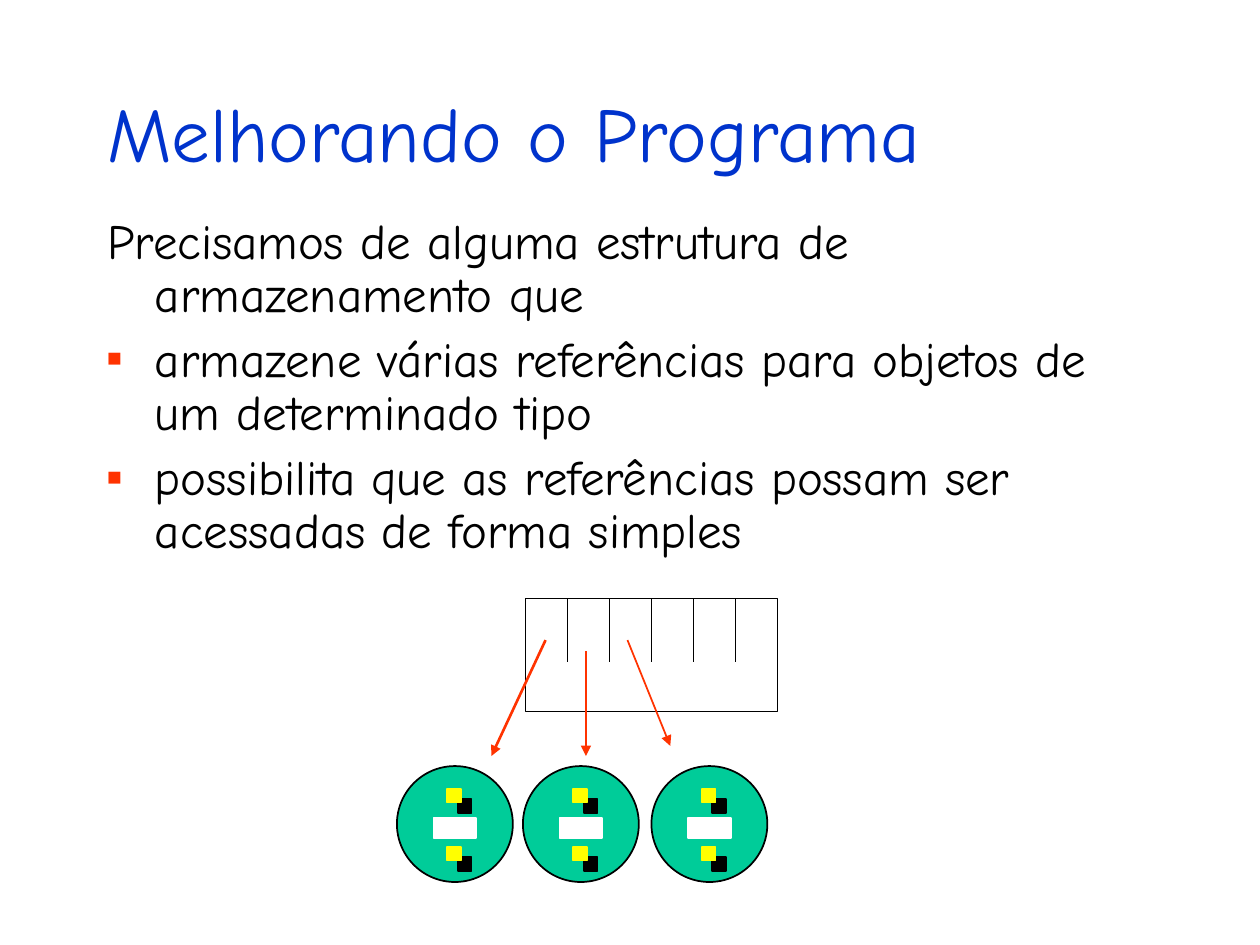
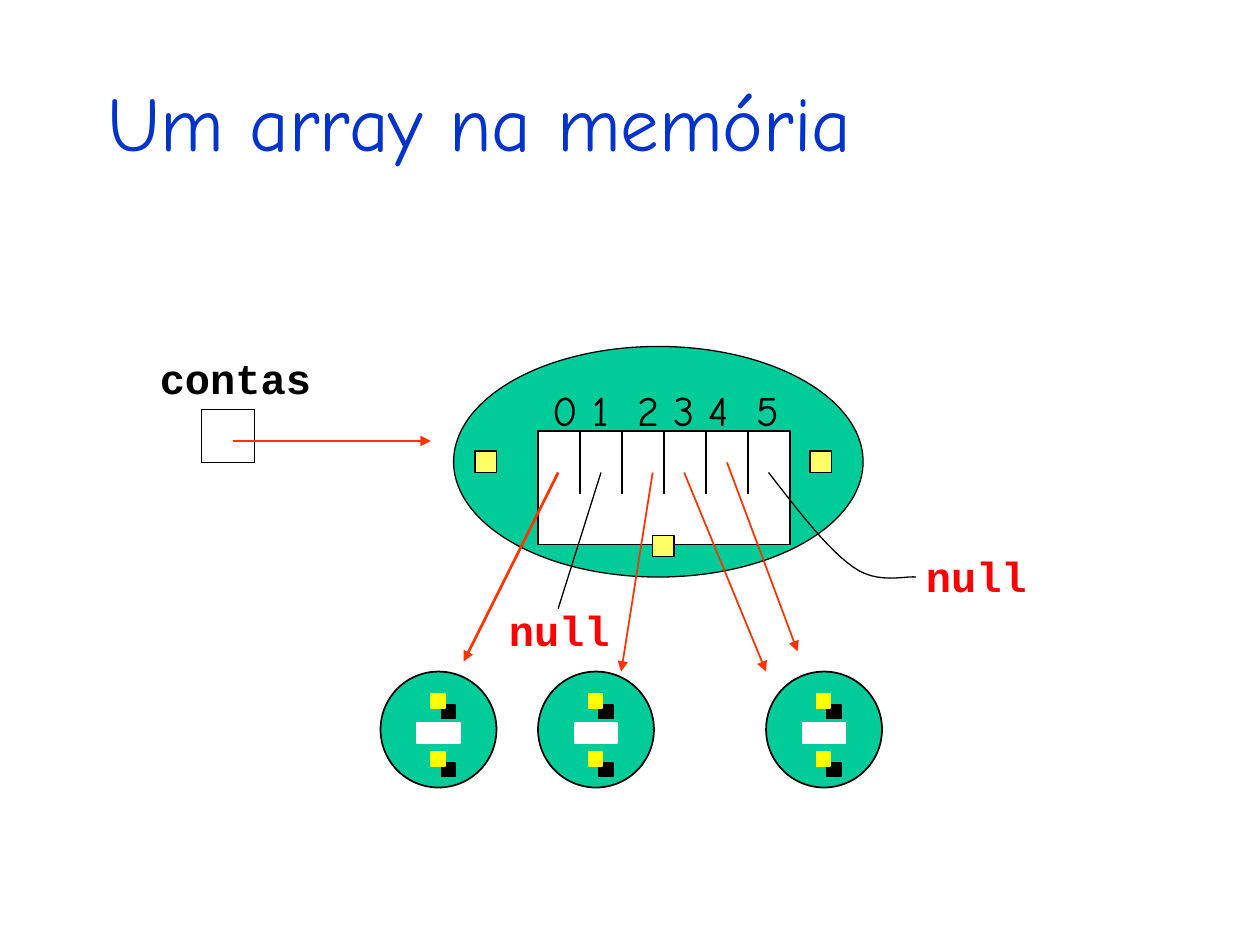
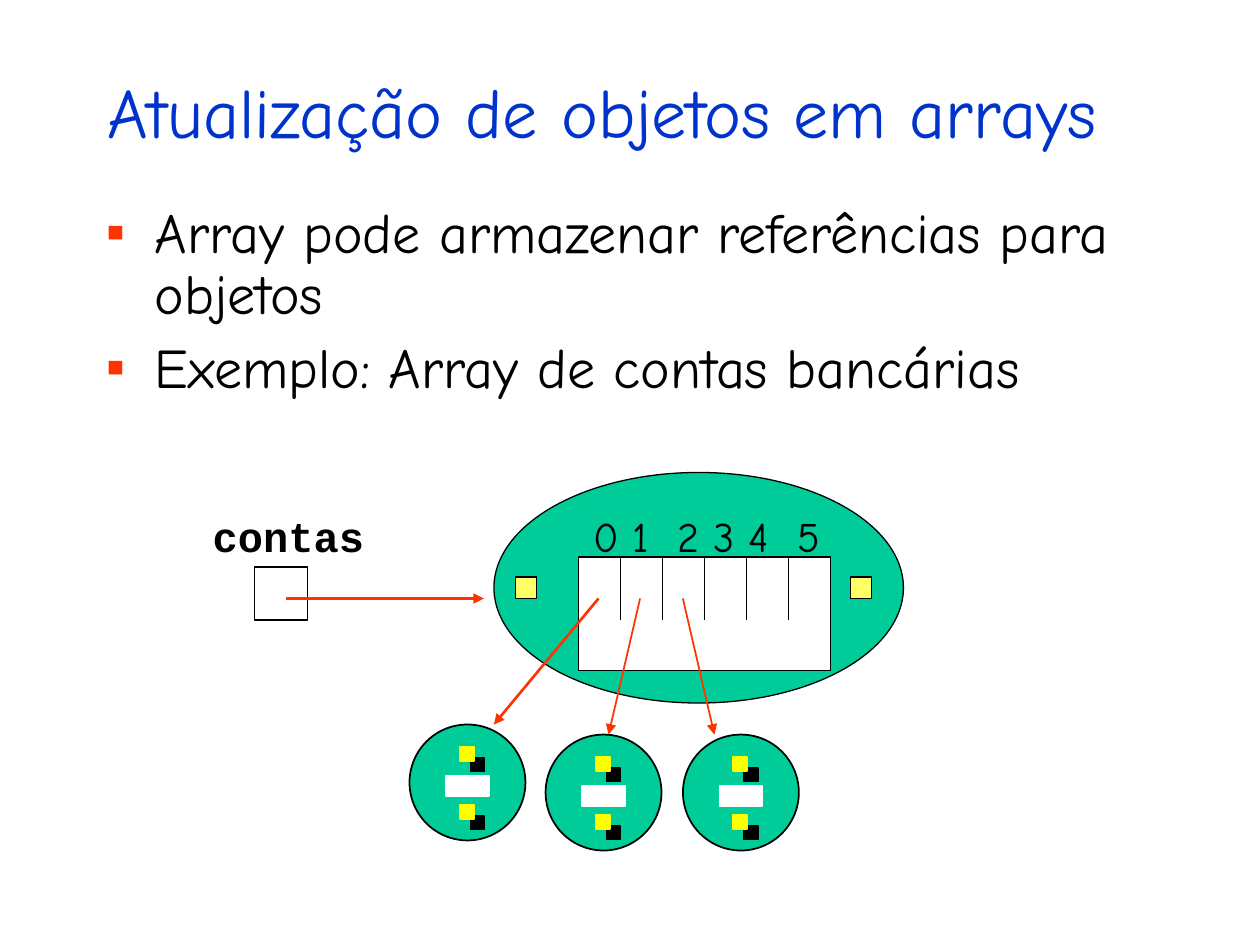
from lxml.etree import SubElement as Sub
from pptx import Presentation
from pptx.dml.color import RGBColor
from pptx.enum.shapes import MSO_CONNECTOR as LINK, MSO_SHAPE as FORM
from pptx.enum.text import MSO_ANCHOR, MSO_AUTO_SIZE as FIT, PP_ALIGN
from pptx.oxml.ns import qn
from pptx.util import Inches, Pt

BLUE = RGBColor(0x00, 0x33, 0xCC)
GREEN = RGBColor(0x00, 0xCC, 0x99)
ORANGE = RGBColor(0xFF, 0x33, 0x00)
RED = RGBColor(0xFF, 0x00, 0x00)
YELLOW = RGBColor(0xFF, 0xFF, 0x00)
PALE = RGBColor(0xFF, 0xFF, 0x66)
BLACK = RGBColor(0x00, 0x00, 0x00)
WHITE = RGBColor(0xFF, 0xFF, 0xFF)
COMIC, MONO = "Comic Neue", "Courier New"

TITLE_ONLY, TITLE_BODY = 5, 1
THIN, MID, THICK = 0.75, 1, 1.5
CELLS, PITCH = 6, 1 / 3


def place(shape, x, y, w, h):
    shape.left, shape.top = Inches(x), Inches(y)
    shape.width, shape.height = Inches(w), Inches(h)


def write(para, text, size, color, face=COMIC, bold=False):
    run = para.add_run()
    run.text = text
    font = run.font
    font.name, font.size, font.bold = face, Pt(size), bold
    font.color.rgb = color
    return run


def new_slide(deck, layout, title, top, size=44):
    slide = deck.slides.add_slide(deck.slide_layouts[layout])
    head = slide.shapes.title
    place(head, 0.75, top, 8.5, 1.25)
    frame = head.text_frame
    frame.auto_size = FIT.NONE
    frame.vertical_anchor = MSO_ANCHOR.MIDDLE
    frame.paragraphs[0].alignment = PP_ALIGN.LEFT
    write(frame.paragraphs[0], title, size, BLUE)
    return slide


def set_bullet(para, shown):
    props = para._p.get_or_add_pPr()
    props.set("marL", str(Inches(0.38)))
    props.set("indent", str(-Inches(0.38)))
    if not shown:
        Sub(props, qn("a:buNone"))
        return
    Sub(Sub(props, qn("a:buClr")), qn("a:srgbClr"), val=str(ORANGE))
    Sub(props, qn("a:buSzPct"), val="50000")
    Sub(props, qn("a:buChar"), char="■")


def fill_body(slide, box, items, size):
    """Write (text, bulleted) items into the body placeholder."""
    body = slide.placeholders[1]
    place(body, *box)
    frame = body.text_frame
    frame.auto_size = FIT.NONE
    for i, (text, shown) in enumerate(items):
        para = frame.add_paragraph() if i else frame.paragraphs[0]
        set_bullet(para, shown)
        para.line_spacing = 0.9
        para.space_before = Pt(size / 4 if i else 0)
        write(para, text, size, BLACK)


def add_form(shapes, form, box, fill, line=BLACK, width=THIN):
    shape = shapes.add_shape(form, *map(Inches, box))
    shape.shadow.inherit = False
    shape.fill.solid()
    shape.fill.fore_color.rgb = fill
    shape.line.color.rgb = line
    shape.line.width = Pt(width)
    return shape


def add_line(slide, start, end, color=BLACK, width=THIN):
    line = slide.shapes.add_connector(LINK.STRAIGHT, *map(Inches, start + end))
    line.line.color.rgb = color
    line.line.width = Pt(width)
    Sub(line._element.spPr, qn("a:effectLst"))
    return line


def add_arrow(slide, start, end, width=MID):
    arrow = add_line(slide, start, end, ORANGE, width)
    Sub(arrow.line._get_or_add_ln(), qn("a:tailEnd"), type="triangle")


def add_box(slide, x, y, w):
    """Add an unwrapped text box and return its paragraph."""
    frame = slide.shapes.add_textbox(*map(Inches, (x, y, w, 0.5))).text_frame
    frame.word_wrap = False
    return frame.paragraphs[0]


def add_label(slide, x, y, w, text, color=BLACK):
    write(add_box(slide, x, y, w), text, 24, color, MONO, True)


def cast_shadow(shape):
    effects = shape._element.spPr.find(qn("a:effectLst"))
    shade = Sub(effects, qn("a:outerShdw"), dist=str(Pt(8.5)),
                dir="2700000", algn="ctr", rotWithShape="0")
    Sub(shade, qn("a:srgbClr"), val=str(BLACK))


def add_account(slide, x, y):
    shapes = slide.shapes.add_group_shape().shapes
    add_form(shapes, FORM.OVAL, (x, y, 0.92, 0.92), GREEN, BLACK, MID)
    for drop in (0.18, 0.64):
        knob = add_form(shapes, FORM.RECTANGLE, (x + 0.4, y + drop, 0.11, 0.11),
                        YELLOW, YELLOW, MID)
        cast_shadow(knob)
    add_form(shapes, FORM.RECTANGLE, (x + 0.29, y + 0.41, 0.34, 0.16),
             WHITE, WHITE, MID)


def add_cells(slide, x, y):
    add_form(slide.shapes, FORM.RECTANGLE, (x, y, CELLS * PITCH, 0.9), WHITE)
    for i in range(1, CELLS + 1):
        edge = x + i * PITCH
        add_line(slide, (edge, y), (edge, y + 0.5))


def add_digits(slide, x, y):
    """Number the cells, with wider gaps after 1 and 4."""
    para = add_box(slide, x, y, 2.11)
    for i in range(CELLS):
        if i:
            gap = write(para, " ", 24, BLACK)
            if i % 3 == 2:
                gap._r.get_or_add_rPr().set("spc", "800")
        write(para, str(i), 24, BLACK)


def add_array(slide, x, y, pegs):
    """Draw the array object, with pegs placed relative to its corner."""
    add_form(slide.shapes, FORM.OVAL, (x, y, 3.25, 1.83), GREEN)
    add_cells(slide, x + 0.67, y + 0.67)
    add_digits(slide, x + 0.69, y + 0.25)
    for right, down in pegs:
        add_form(slide.shapes, FORM.RECTANGLE,
                 (x + right, y + down, 0.17, 0.17), PALE)


def add_contas(slide, x, y):
    """Draw the variable that refers to the array."""
    add_label(slide, x - 0.43, y - 0.5, 1.4, "contas")
    add_form(slide.shapes, FORM.RECTANGLE, (x, y, 0.42, 0.42), WHITE)
    add_arrow(slide, (x + 0.25, y + 0.25), (x + 1.82, y + 0.25), THICK)


def bezier(a, b, c, d, steps=12):
    for i in range(1, steps + 1):
        t = i / steps
        u = 1 - t
        yield tuple(u**3 * p + 3 * u * u * t * q + 3 * u * t * t * r + t**3 * s
                    for p, q, r, s in zip(a, b, c, d))


def add_curve(slide, points):
    """Draw cubic segments that share their end points."""
    dots = [dot for i in range(0, len(points) - 1, 3)
            for dot in bezier(*points[i:i + 4])]
    pen = slide.shapes.build_freeform(*map(Inches, points[0]))
    pen.add_line_segments([tuple(map(Inches, dot)) for dot in dots],
                          close=False)
    curve = pen.convert_to_shape()
    curve.shadow.inherit = False
    curve.fill.background()
    curve.line.color.rgb = BLACK
    curve.line.width = Pt(THIN)


def add_links(slide, accounts, arrows):
    """Draw the accounts and the arrows to them, the first one thicker."""
    for spot in accounts:
        add_account(slide, *spot)
    for i, (start, end) in enumerate(arrows):
        add_arrow(slide, start, end, MID if i else THICK)


def build_need(deck):
    slide = new_slide(deck, TITLE_BODY, "Melhorando o Programa", 0.42)
    fill_body(slide, (0.75, 1.67, 8.58, 3), [
        ("Precisamos de alguma estrutura de armazenamento que", False),
        ("armazene várias referências para objetos de um determinado tipo", True),
        ("possibilita que as referências possam ser acessadas de forma simples",
         True),
    ], 28)
    add_cells(slide, 4.17, 4.75)
    add_links(slide, [(3.15, 6.08), (4.15, 6.08), (5.17, 6.08)], [
        ((4.33, 5.08), (3.9, 6)),
        ((4.65, 5.17), (4.65, 6)),
        ((4.98, 5.08), (5.32, 5.92)),
    ])


def build_memory(deck):
    slide = new_slide(deck, TITLE_ONLY, "Um array na memória", 0.33)
    add_array(slide, 3.6, 2.75, [(0.17, 0.83), (1.58, 1.5), (2.83, 0.83)])
    add_contas(slide, 1.6, 3.25)
    add_links(slide, [(3.02, 5.33), (4.27, 5.33), (6.08, 5.33)], [
        ((4.43, 3.75), (3.68, 5.25)),
        ((5.18, 3.75), (4.93, 5.33)),
        ((5.43, 3.75), (6.08, 5.33)),
        ((5.77, 3.67), (6.33, 5.17)),
    ])
    add_curve(slide, [(6.1, 3.75), (6.34, 4.06), (6.57, 4.36), (6.77, 4.5),
                      (6.96, 4.64), (7.18, 4.57), (7.27, 4.58)])
    add_line(slide, (4.77, 3.75), (4.43, 4.83))
    for x, y in ((7.25, 4.32), (3.94, 4.75)):
        add_label(slide, x, y, 1, "null", RED)


def build_update(deck):
    slide = new_slide(deck, TITLE_BODY, "Atualização de objetos em arrays",
                      0.25, 40)
    fill_body(slide, (0.75, 1.58, 8.5, 1.75), [
        ("Array pode armazenar referências para objetos", True),
        ("Exemplo: Array de contas bancárias", True),
    ], 32)
    add_array(slide, 3.92, 3.75, [(0.17, 0.83), (2.83, 0.83)])
    add_contas(slide, 2.02, 4.5)
    add_links(slide, [(3.25, 5.75), (4.33, 5.83), (5.42, 5.83)], [
        ((4.75, 4.75), (3.92, 5.75)),
        ((5.08, 4.75), (4.83, 5.83)),
        ((5.42, 4.75), (5.67, 5.83)),
    ])


def main():
    deck = Presentation()
    deck.slide_width, deck.slide_height = Inches(10), Inches(7.5)
    build_need(deck)
    build_memory(deck)
    build_update(deck)
    deck.save("out.pptx")


if __name__ == "__main__":
    main()
